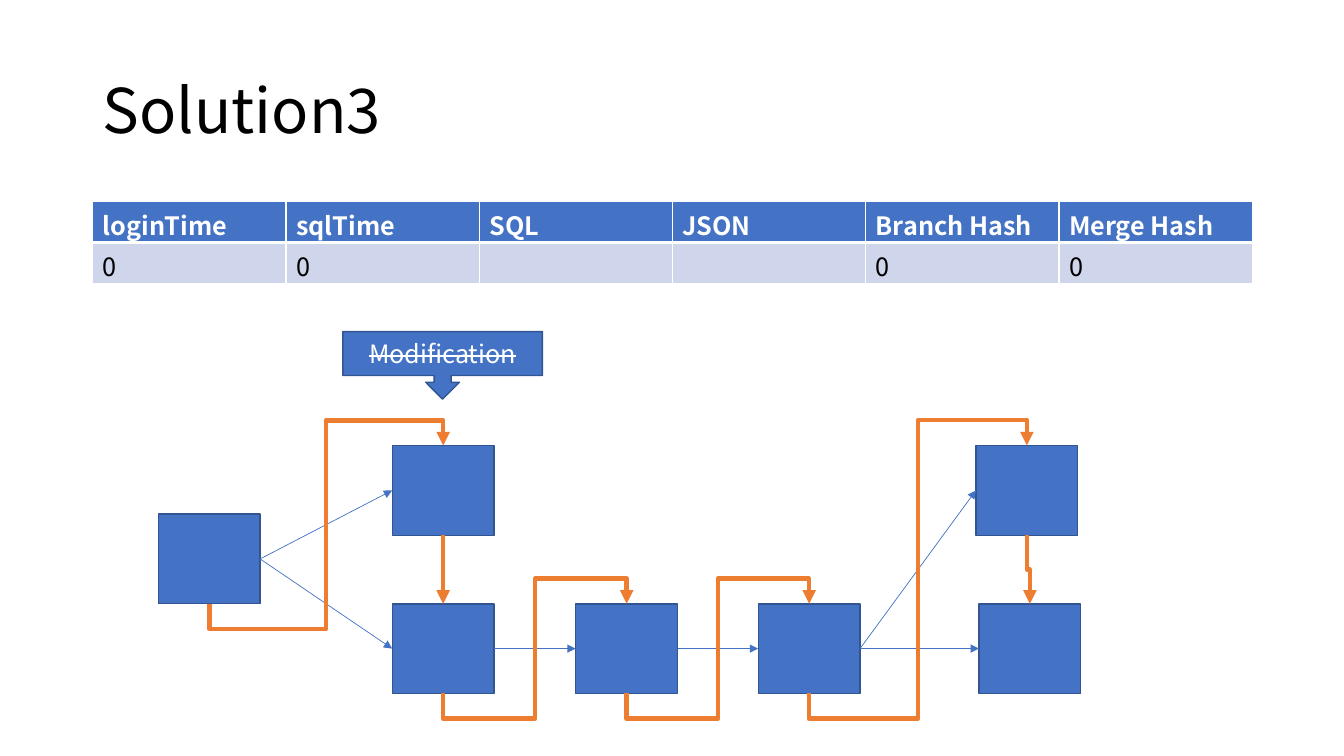
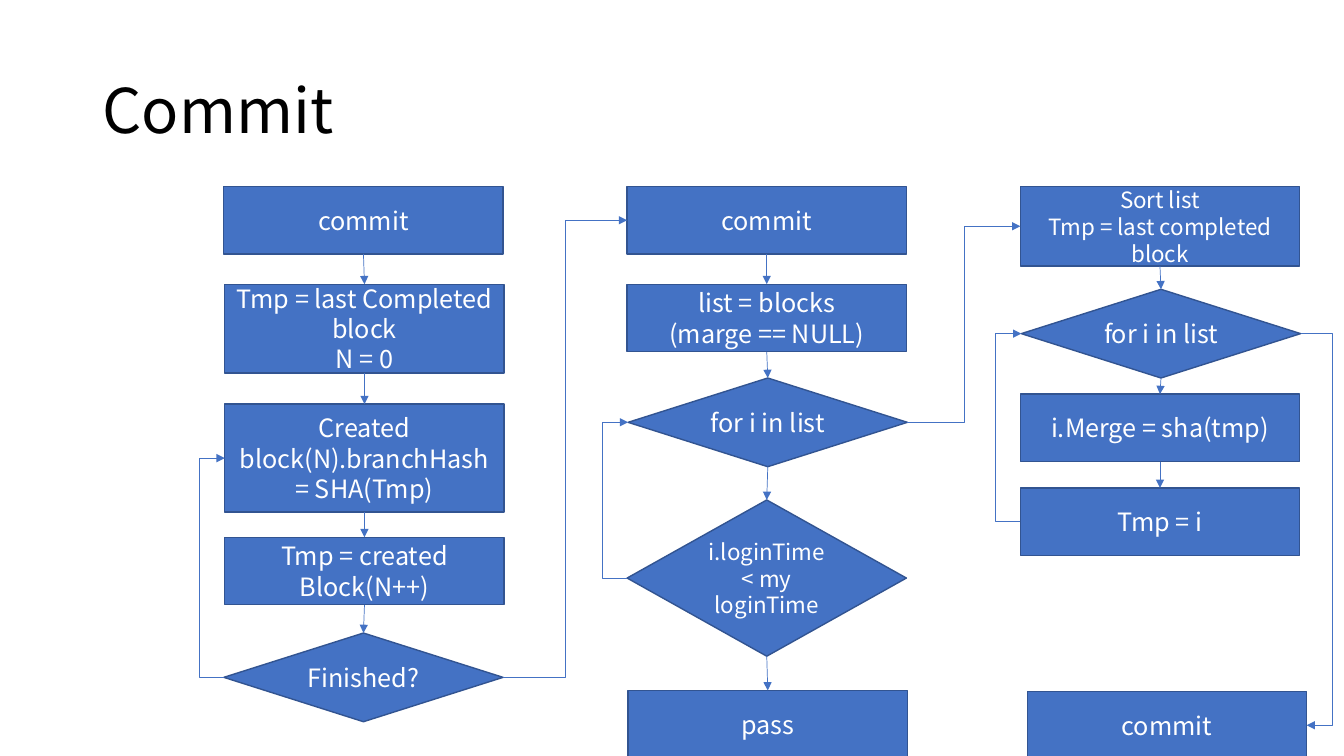
import lxml.etree
import pptx
import pptx.dml.color
import pptx.enum.shapes
import pptx.enum.text
import pptx.oxml.ns
import pptx.util

RGB = pptx.dml.color.RGBColor
SHAPE = pptx.enum.shapes.MSO_SHAPE
CONNECTOR = pptx.enum.shapes.MSO_CONNECTOR
ALIGN = pptx.enum.text.PP_ALIGN
MIDDLE = pptx.enum.text.MSO_ANCHOR.MIDDLE
Pt = pptx.util.Pt
qn = pptx.oxml.ns.qn

BLUE = RGB(0x44, 0x72, 0xC4)
DARK_BLUE = RGB(0x32, 0x54, 0x91)
PALE_BLUE = RGB(0xCF, 0xD5, 0xEA)
ORANGE = RGB(0xED, 0x7D, 0x31)
WHITE = RGB(0xFF, 0xFF, 0xFF)
BLACK = RGB(0x00, 0x00, 0x00)

EMU_PER_PX = 9144
FONT = "Noto Sans CJK KR"
THIN = {"color": BLUE, "width": 0.5}
HEAVY = {"color": ORANGE, "width": 3.25}
TOP, LEFT, BOTTOM, RIGHT = range(4)

TABLE_ROWS = [
    ["loginTime", "sqlTime", "SQL", "JSON", "Branch Hash", "Merge Hash"],
    ["0", "0", "", "", "0", "0"],
]

BLOCK_W, BLOCK_H = 101, 89
BLOCKS = {
    "first": (157, 510),
    "upper": (389, 442),
    "lower": (389, 599),
    "third": (571, 599),
    "fourth": (752, 599),
    "last_upper": (968, 442),
    "last_lower": (971, 599),
}

STEP_W = 277
RECT, DECISION = SHAPE.RECTANGLE, SHAPE.FLOWCHART_DECISION
# key: shape, left, top, height, text, text size
BRANCH_STEPS = {
    "start": (RECT, 222, 185, 67, "commit", 18),
    "init": (RECT, 223, 282, 88, "Tmp = last Completed block\nN = 0", 18),
    "create": (RECT, 223, 401, 107, "Created block(N).branchHash = SHA(Tmp)", 18),
    "advance": (RECT, 223, 533, 67, "Tmp = created Block(N++)", 18),
    "finished": (DECISION, 222, 628, 88, "Finished?", 18),
}
CHECK_STEPS = {
    "check": (RECT, 622, 185, 67, "commit", 18),
    "list": (RECT, 622, 282, 67, "list = blocks\n(marge == NULL)", 18),
    "check_loop": (DECISION, 623, 375, 88, "for i in list", 18),
    "compare": (DECISION, 622, 496, 155, "i.loginTime < my loginTime", 16),
    "pass": (RECT, 623, 685, 67, "pass", 18),
}
MERGE_STEPS = {
    "sort": (RECT, 1012, 185, 79, "Sort list\nTmp = last completed block", 16),
    "merge_loop": (DECISION, 1013, 287, 88, "for i in list", 18),
    "merge": (RECT, 1012, 391, 67, "i.Merge = sha(tmp)", 18),
    "next": (RECT, 1012, 484, 67, "Tmp = i", 18),
}
FINAL_STEP = (RECT, 1019, 686, 67, "commit", 18)


def px(n):
    return pptx.util.Emu(round(n * EMU_PER_PX))


def write(tf, text, size, color, align=ALIGN.LEFT, spacing=None, **extra):
    """Fill a text frame, one paragraph a line."""
    tf.text = text
    tf.word_wrap = True
    fmt = {"name": FONT, "size": Pt(size), **extra}
    for p in tf.paragraphs:
        p.alignment = align
        p.line_spacing = spacing
        for r in p.runs:
            for name, value in fmt.items():
                setattr(r.font, name, value)
            r.font.color.rgb = color


def add_slide(prs, title):
    s = prs.slides.add_slide(prs.slide_layouts[6])
    tf = s.shapes.add_textbox(px(92), px(40), px(1150), px(145)).text_frame
    write(tf, title, 44, BLACK, spacing=0.9)
    tf.vertical_anchor = MIDDLE
    return s


def add_box(s, shape, left, top, width, height, text="", size=18):
    sp = s.shapes.add_shape(shape, px(left), px(top), px(width), px(height))
    sp.shadow.inherit = False
    sp.fill.solid()
    sp.fill.fore_color.rgb = BLUE
    sp.line.color.rgb = DARK_BLUE
    sp.line.width = Pt(1)
    sp.text_frame.vertical_anchor = MIDDLE
    write(sp.text_frame, text, size, WHITE, ALIGN.CENTER)
    return sp


def add_steps(s, steps):
    """Draw a column of flowchart steps and the arrows down it."""
    boxes = {key: add_step(s, step) for key, step in steps.items()}
    column = list(boxes.values())
    for upper, lower in zip(column, column[1:]):
        add_arrow(s, upper, BOTTOM, lower, TOP)
    return boxes


def add_step(s, step):
    shape, left, top, height, text, size = step
    return add_box(s, shape, left, top, STEP_W, height, text, size)


def add_arrow(s, a, a_side, b, b_side, look=THIN, kind=CONNECTOR.STRAIGHT):
    c = s.shapes.add_connector(kind, 0, 0, 0, 0)
    c.begin_connect(a, a_side)
    c.end_connect(b, b_side)
    c.line.color.rgb = look["color"]
    c.line.width = Pt(look["width"])
    spPr = c._element.spPr
    lxml.etree.SubElement(spPr.find(qn("a:ln")), qn("a:tailEnd"), type="triangle")
    lxml.etree.SubElement(spPr, qn("a:effectLst"))
    return c


def set_bends(c, preset, ratios):
    geom = c._element.spPr.find(qn("a:prstGeom"))
    geom.set("prst", preset)
    guides = geom.find(qn("a:avLst"))
    for i, ratio in enumerate(ratios, 1):
        lxml.etree.SubElement(guides, qn("a:gd"), name=f"adj{i}",
                              fmla=f"val {round(ratio * 100000)}")


def add_side_elbow(s, a, a_side, b, b_side, bend=None):
    """Leave sideways and turn at x = bend, or halfway."""
    c = add_arrow(s, a, a_side, b, b_side, kind=CONNECTOR.ELBOW)
    if bend is not None:
        ratio = (px(bend) - c.begin_x) / (c.end_x - c.begin_x)
        set_bends(c, "bentConnector3", [ratio])


def add_drop_elbow(s, a, b, stub=25):
    """Leave the bottom of a and enter the top of b, looping up if b is higher."""
    c = add_arrow(s, a, BOTTOM, b, TOP, HEAVY, CONNECTOR.ELBOW)
    dx, dy = c.end_x - c.begin_x, c.end_y - c.begin_y
    mid_x, mid_y = (c.begin_x + c.end_x) // 2, (c.begin_y + c.end_y) // 2
    c.width, c.height = abs(dy), abs(dx)
    c.left, c.top = mid_x - c.width // 2, mid_y - c.height // 2
    xfrm = c._element.spPr.find(qn("a:xfrm"))
    xfrm.set("rot", "5400000")
    xfrm.set("flipH", str(int(dy < 0)))
    xfrm.set("flipV", str(int(dx > 0)))
    if dy < 0:
        out = px(stub) / dy
        set_bends(c, "bentConnector5", [out, 0.5, 1 - out])


def set_borders(cell, widths):
    tcPr = cell._tc.get_or_add_tcPr()
    for i, (side, width) in enumerate(widths.items()):
        ln = lxml.etree.Element(qn(f"a:ln{side}"), w=str(Pt(width)))
        fill = lxml.etree.SubElement(ln, qn("a:solidFill"))
        lxml.etree.SubElement(fill, qn("a:srgbClr"), val=str(WHITE))
        tcPr.insert(i, ln)


def add_hash_table(s):
    frame = s.shapes.add_table(len(TABLE_ROWS), len(TABLE_ROWS[0]),
                               px(92), px(200), px(1150), px(81))
    for i, row in enumerate(TABLE_ROWS):
        header = i == 0
        for j, text in enumerate(row):
            cell = frame.table.cell(i, j)
            cell.fill.solid()
            cell.fill.fore_color.rgb = BLUE if header else PALE_BLUE
            write(cell.text_frame, text, 18, WHITE if header else BLACK, bold=header)
            set_borders(cell, {"L": 1, "R": 1, "T": 1 if header else 3,
                               "B": 3 if header else 1})


def build_solution(prs):
    s = add_slide(prs, "Solution3")
    add_hash_table(s)
    block = {key: add_box(s, RECT, left, top, BLOCK_W, BLOCK_H)
             for key, (left, top) in BLOCKS.items()}
    callout = add_box(s, SHAPE.DOWN_ARROW_CALLOUT, 340, 329, 198, 67, "Modification")
    font = callout.text_frame.paragraphs[0].runs[0].font
    font._element.set("strike", "sngStrike")
    for a, b in [("first", "upper"), ("first", "lower"), ("lower", "third"),
                 ("third", "fourth"), ("fourth", "last_upper"),
                 ("fourth", "last_lower")]:
        add_arrow(s, block[a], RIGHT, block[b], LEFT)
    add_arrow(s, block["upper"], BOTTOM, block["lower"], TOP, HEAVY)
    for a, b in [("first", "upper"), ("lower", "third"), ("third", "fourth"),
                 ("fourth", "last_upper"), ("last_upper", "last_lower")]:
        add_drop_elbow(s, block[a], block[b])


def build_commit(prs):
    s = add_slide(prs, "Commit")
    step = {}
    for steps in (BRANCH_STEPS, CHECK_STEPS, MERGE_STEPS):
        step.update(add_steps(s, steps))
    step["final"] = add_step(s, FINAL_STEP)
    for a, a_side, b, b_side, bend in [
        ("finished", LEFT, "create", LEFT, 197),
        ("finished", RIGHT, "check", LEFT, None),
        ("compare", LEFT, "check_loop", LEFT, 597),
        ("check_loop", RIGHT, "sort", LEFT, None),
        ("next", LEFT, "merge_loop", LEFT, 987),
        ("merge_loop", RIGHT, "final", RIGHT, 1322),
    ]:
        add_side_elbow(s, step[a], a_side, step[b], b_side, bend)


def main():
    prs = pptx.Presentation()
    prs.slide_width, prs.slide_height = px(1333), px(750)
    build_solution(prs)
    build_commit(prs)
    prs.save("out.pptx")


if __name__ == "__main__":
    main()
